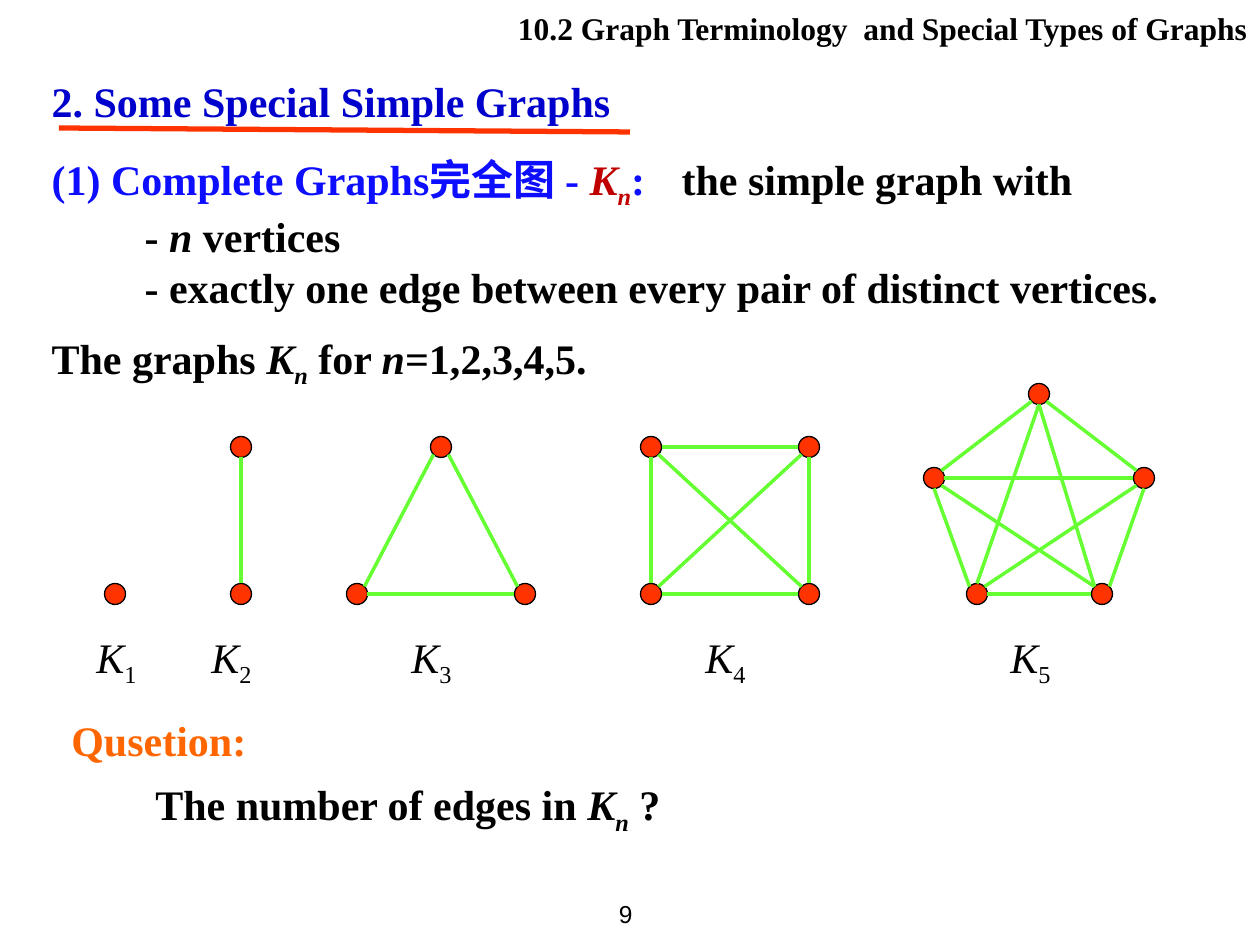
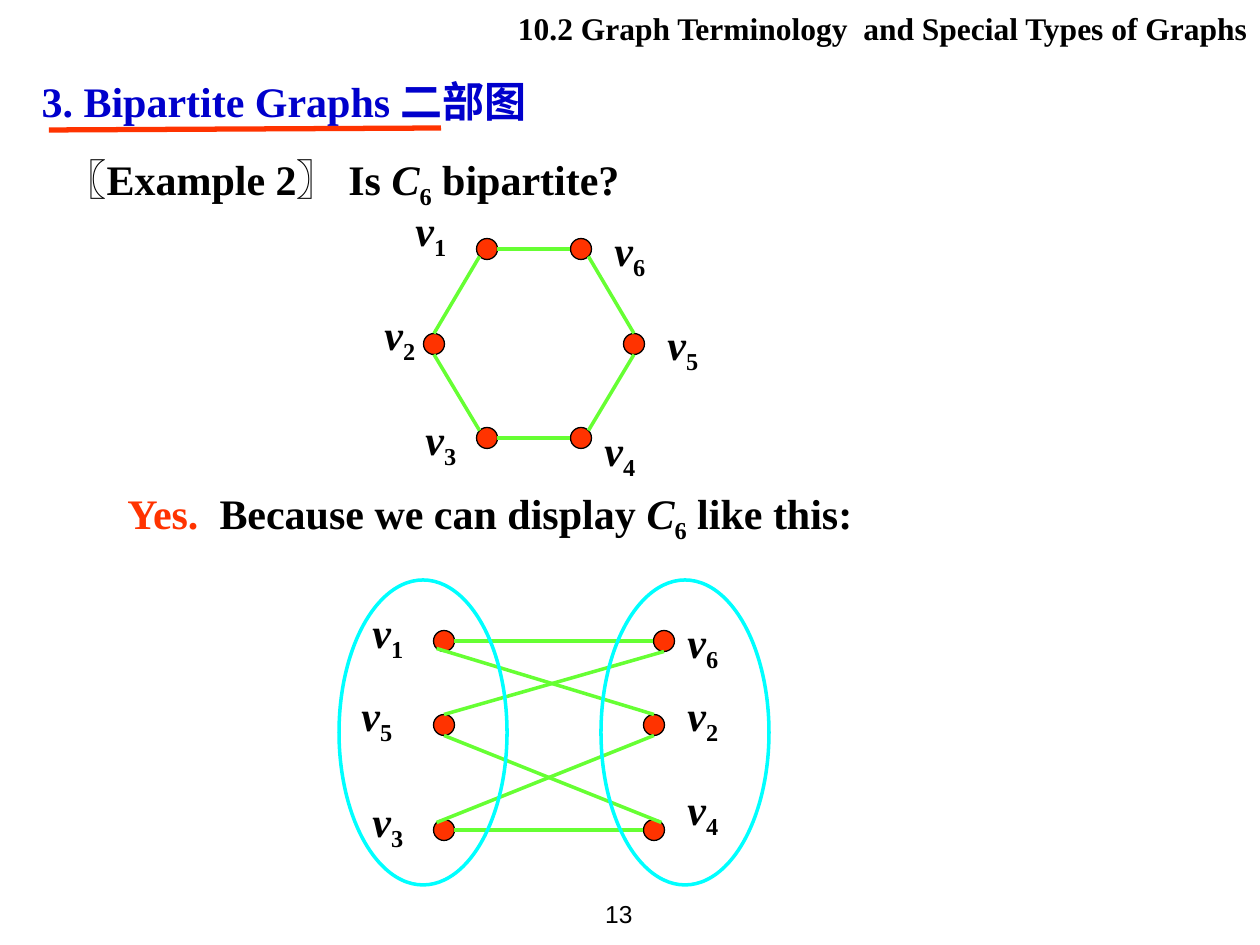
import pptx
import pptx.dml.color
import pptx.enum.shapes
import pptx.enum.text
import pptx.util
from lxml import etree
from pptx.oxml.ns import qn

EMU_PER_PX = 914400 / 126
SERIF = "Times New Roman"
COLORS = {
    "black": "000000", "heading": "0000CC", "term": "0D0DFF",
    "symbol": "C00000", "vertex": "FF3300", "edge": "66FF33",
    "question": "FF6600", "part": "00FFFF",
}
ALIGN = pptx.enum.text.PP_ALIGN
SHAPE = pptx.enum.shapes.MSO_SHAPE
VERTEX_SIZE = 21
SITES = {
    "N": (0, -1), "NE": (0.71, -0.71), "E": (1, 0), "SE": (0.71, 0.71),
    "S": (0, 1), "SW": (-0.71, 0.71), "W": (-1, 0), "NW": (-0.71, -0.71),
}

COMPLETE_GRAPHS = [
    (84, {"a": (115, 594)}, []),
    (199, {"top": (241, 447), "low": (241, 594)}, ["top S low N"]),
    (399, {"top": (441, 447), "left": (357, 594), "right": (525, 594)},
     ["left NE top SW", "left E right W", "right NW top SE"]),
    (693, {"a": (651, 447), "b": (809, 447), "c": (651, 594), "d": (809, 594)},
     ["a S c N", "a E b W", "b S d N", "c E d W", "c NE b SW", "a SE d NW"]),
    (998, {"top": (1039, 394), "left": (934, 478), "right": (1144, 478),
           "c": (977, 594), "d": (1102, 594)},
     ["left S c NW", "c E d W", "d NE right S", "right NW top SE",
      "left NE top SW", "top S c N", "top S d NW", "left E right W",
      "left SE d NW", "c NE right SW"]),
]

CYCLE_VERTICES = {
    "v1": (487, 249), "v2": (434, 344), "v3": (487, 438),
    "v4": (581, 438), "v5": (634, 344), "v6": (581, 249),
}
CYCLE_EDGES = ["v1 SW v2 N", "v2 S v3 NW", "v3 E v4 W",
               "v4 NE v5 S", "v5 N v6 SE", "v1 E v6 W"]
CYCLE_LABELS = {
    "v1": (403, 198), "v2": (372, 302), "v3": (413, 407),
    "v4": (592, 418), "v5": (655, 312), "v6": (602, 218),
}

BIPARTITE_VERTICES = {
    "v1": (444, 641), "v5": (444, 725), "v3": (444, 830),
    "v6": (664, 641), "v2": (654, 725), "v4": (654, 830),
}
BIPARTITE_EDGES = ["v1 E v6 W", "v1 SW v2 N", "v5 N v6 S",
                   "v5 S v4 NE", "v3 NW v2 S", "v3 E v4 W"]
BIPARTITE_LABELS = {
    "v1": (360, 600), "v5": (349, 683), "v3": (360, 789),
    "v6": (675, 610), "v2": (675, 683), "v4": (675, 777),
}


def px(length):
    return pptx.util.Emu(round(length * EMU_PER_PX))


def rgb(name):
    return pptx.dml.color.RGBColor.from_string(COLORS[name])


def write_paragraph(paragraph, runs, size=24, align=ALIGN.LEFT, before=0,
                    indent=0, tab=None):
    properties = paragraph._p.get_or_add_pPr()
    properties.set("marL", str(px(indent)))
    properties.set("indent", "0")
    etree.SubElement(properties, qn("a:buNone"))
    if tab:
        tabs = etree.SubElement(properties, qn("a:tabLst"))
        etree.SubElement(tabs, qn("a:tab"), pos=str(px(tab)), algn="l")
    paragraph.alignment = align
    paragraph.space_before = pptx.util.Pt(before)
    for text, style, color, font in runs:
        run = paragraph.add_run()
        run.text = text
        run.font.name = font
        run.font.size = pptx.util.Pt(size)
        run.font.bold = "b" in style
        run.font.italic = "i" in style
        run.font.color.rgb = rgb(color)
        if "s" in style:
            run._r.get_or_add_rPr().set("baseline", "-25000")


def run_of(text, style="b", color="black", font=SERIF):
    return text, style, color, font


def fill_text(holder, box, paragraphs, wrap=True):
    holder.left, holder.top, holder.width, holder.height = map(px, box)
    frame = holder.text_frame
    frame.word_wrap = wrap
    frame.auto_size = pptx.enum.text.MSO_AUTO_SIZE.NONE
    frame.vertical_anchor = pptx.enum.text.MSO_ANCHOR.TOP
    for index, (runs, layout) in enumerate(paragraphs):
        paragraph = frame.add_paragraph() if index else frame.paragraphs[0]
        write_paragraph(paragraph, runs, **layout)
    return frame


def add_text(shapes, box, paragraphs, wrap=True):
    return fill_text(shapes.add_textbox(0, 0, 0, 0), box, paragraphs, wrap)


def add_line(shapes, start, end, color, width):
    line = shapes.add_connector(pptx.enum.shapes.MSO_CONNECTOR.STRAIGHT,
                                *map(px, (*start, *end)))
    line.line.color.rgb = rgb(color)
    line.line.width = pptx.util.Pt(width)
    etree.SubElement(line._element.spPr, qn("a:effectLst"))


def add_round(shapes, preset, box, fill, outline, width):
    outline_shape = shapes.add_shape(preset, *map(px, box))
    outline_shape.shadow.inherit = False
    if fill:
        outline_shape.fill.solid()
        outline_shape.fill.fore_color.rgb = rgb(fill)
    else:
        outline_shape.fill.background()
    outline_shape.line.color.rgb = rgb(outline)
    outline_shape.line.width = pptx.util.Pt(width)


def site_point(center, site):
    return [c + d * VERTEX_SIZE / 2 for c, d in zip(center, SITES[site])]


def add_graph(slide, vertices, edges):
    graph = slide.shapes.add_group_shape().shapes
    for x, y in vertices.values():
        corner = (x - VERTEX_SIZE / 2, y - VERTEX_SIZE / 2)
        add_round(graph, SHAPE.FLOWCHART_CONNECTOR,
                  (*corner, VERTEX_SIZE, VERTEX_SIZE), "vertex", "black", 0.75)
    for edge in edges:
        first, leave, second, enter = edge.split()
        add_line(graph, site_point(vertices[first], leave),
                 site_point(vertices[second], enter), "edge", 2)
    return graph


def add_symbol(shapes, left, top, letter, number, weight):
    runs = [run_of(letter, weight + "i"), run_of(number, weight + "s")]
    add_text(shapes, (left, top, 95, 63), [(runs, {})])


def add_vertex_labels(graph, labels):
    for name, (left, top) in labels.items():
        add_symbol(graph, left, top, name[0], name[1], "b")


def start_slide(deck, number, heading, heading_box, underline):
    slide = deck.slides.add_slide(deck.slide_layouts[1])
    fill_text(slide.shapes.title, heading_box,
              [([run_of(heading, color="heading")], {})])
    add_line(slide.shapes, *underline, "vertex", 3)
    chapter = "10.2 Graph Terminology  and Special Types of Graphs"
    add_text(slide.shapes, (501, 3, 759, 50),
             [([run_of(chapter)], {"size": 18, "align": ALIGN.RIGHT})])
    page = add_text(slide.shapes, (561, 882, 84, 63),
                    [([run_of(number, "", font="Arial")],
                      {"size": 14, "align": ALIGN.RIGHT})], wrap=False)
    page.vertical_anchor = pptx.enum.text.MSO_ANCHOR.MIDDLE
    return slide


def build_complete_graphs(deck):
    slide = start_slide(deck, "9", "2. Some Special Simple Graphs",
                        (39, 69, 635, 63), ((59, 128), (630, 132)))
    fill_text(slide.placeholders[1], (39, 147, 1160, 242), [
        ([run_of("(1) Complete Graphs完全图 - ", color="term"),
          run_of("K", "bi", "symbol"), run_of("n", "bis", "symbol"),
          run_of(":", color="term"), run_of("\tthe simple graph with")],
         {"tab": 645}),
        ([run_of("- "), run_of("n", "bi"), run_of(" vertices")],
         {"indent": 93}),
        ([run_of("- exactly one edge between every pair of distinct vertices.")],
         {"indent": 93}),
        ([run_of("The graphs "), run_of("K", "bi"), run_of("n", "bis"),
          run_of(" for "), run_of("n", "bi"), run_of("=1,2,3,4,5.")],
         {"before": 12}),
    ])
    for order, (label_left, vertices, edges) in enumerate(COMPLETE_GRAPHS, 1):
        add_graph(slide, vertices, edges)
        add_symbol(slide.shapes, label_left, 625, "K", str(order), "")
    add_text(slide.shapes, (59, 708, 1111, 129), [
        ([run_of("Qusetion:", color="question")], {}),
        ([run_of("The number of edges in "), run_of("K", "bi"),
          run_of("n", "bis"), run_of(" ?")], {"before": 8, "indent": 84}),
    ])


def build_bipartite_graphs(deck):
    slide = start_slide(deck, "13", "3. Bipartite Graphs 二部图",
                        (29, 69, 544, 63), ((49, 130), (441, 128)))
    cycle_name = [run_of("C", "bi"), run_of("6", "bs")]
    fill_text(slide.placeholders[1], (52, 147, 1144, 63), [
        ([run_of("〖", font="Arial"), run_of("Example 2"),
          run_of("〗 ", font="Arial"), run_of("Is "), *cycle_name,
          run_of(" bipartite?")], {}),
    ])
    add_text(slide.shapes, (115, 481, 804, 69), [
        ([run_of("Yes.  ", color="vertex"), run_of("Because we can display "),
          *cycle_name, run_of(" like this:")], {}),
    ])
    cycle = add_graph(slide, CYCLE_VERTICES, CYCLE_EDGES)
    add_vertex_labels(cycle, CYCLE_LABELS)
    bipartite = add_graph(slide, BIPARTITE_VERTICES, BIPARTITE_EDGES)
    add_vertex_labels(bipartite, BIPARTITE_LABELS)
    for part_left in (339, 601):
        add_round(slide.shapes, SHAPE.OVAL, (part_left, 580, 168, 305),
                  None, "part", 2)


def main():
    deck = pptx.Presentation()
    deck.slide_width, deck.slide_height = px(1260), px(945)
    build_complete_graphs(deck)
    build_bipartite_graphs(deck)
    deck.save("out.pptx")


if __name__ == "__main__":
    main()
